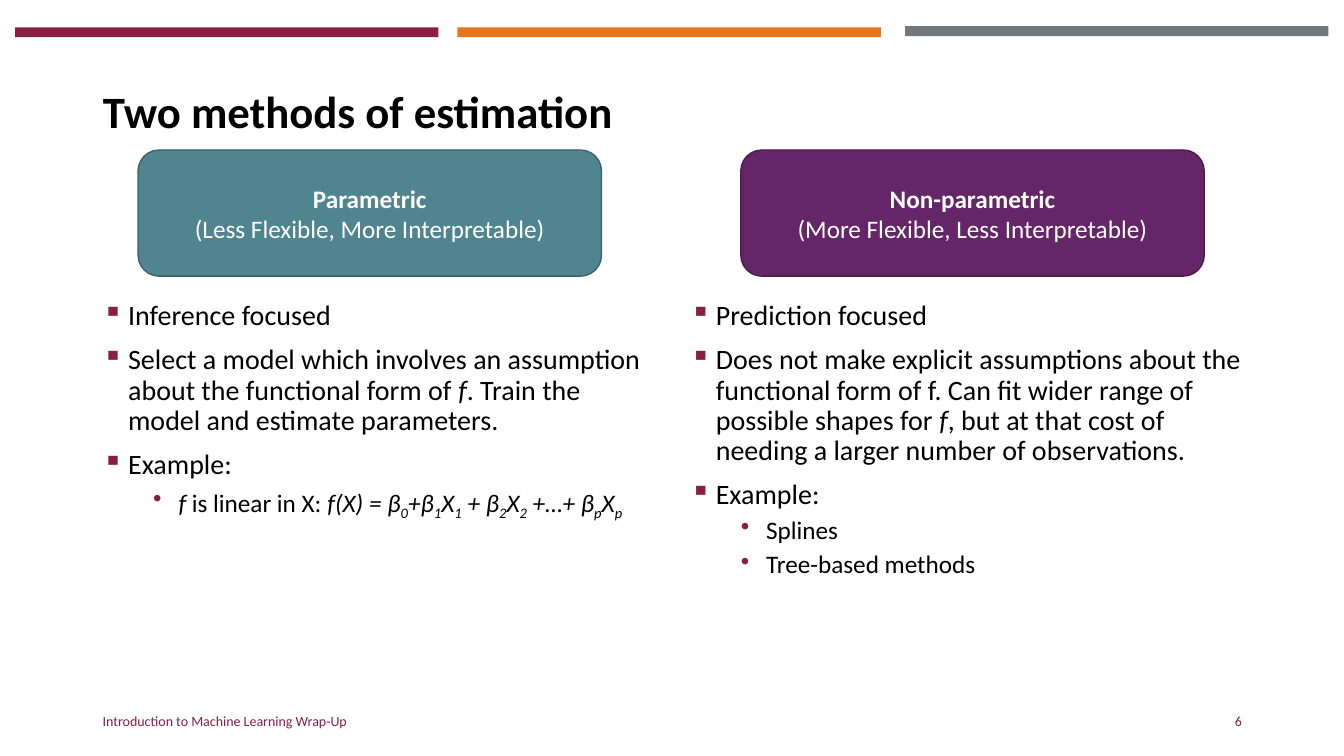
"""Build the slide comparing parametric and non-parametric estimation."""
from dataclasses import dataclass
from typing import Any

from lxml.etree import SubElement
from pptx import Presentation
from pptx.dml.color import RGBColor
from pptx.enum.shapes import MSO_SHAPE as Shape
from pptx.enum.text import MSO_ANCHOR as Anchor, PP_ALIGN as Align
from pptx.oxml.ns import qn
from pptx.util import Cm, Pt

MAROON = RGBColor(0x86, 0x1F, 0x41)
ORANGE = RGBColor(0xE5, 0x75, 0x1F)
GRAY = RGBColor(0x75, 0x78, 0x7B)
TEAL = RGBColor(0x50, 0x85, 0x90)
DARK_TEAL = RGBColor(0x3B, 0x62, 0x6B)
PURPLE = RGBColor(0x64, 0x26, 0x67)
DARK_PURPLE = RGBColor(0x4A, 0x1C, 0x4C)
BLACK = RGBColor(0, 0, 0)
WHITE = RGBColor(0xFF, 0xFF, 0xFF)


@dataclass(frozen=True)
class Box:
    left: float
    top: float
    width: float
    height: float

    def lengths(self) -> tuple[Cm, Cm, Cm, Cm]:
        return Cm(self.left), Cm(self.top), Cm(self.width), Cm(self.height)


@dataclass(frozen=True)
class Bar:
    left: float
    top: float
    color: RGBColor


@dataclass(frozen=True)
class Level:
    size: int
    indent: float
    before: int
    bullet: str


@dataclass(frozen=True)
class Method:
    name: str
    trait: str
    card_left: float
    list_left: float
    fill: RGBColor
    line: RGBColor
    points: tuple[tuple[int, str], ...]


@dataclass(frozen=True)
class Label:
    text: str
    box: Box
    align: Align


LEVELS = (Level(20, 0.64, 10, "▪"), Level(18, 1.91, 5, "•"))
HANGING = 0.64

BARS = (
    Bar(0.38, 0.69, MAROON),
    Bar(22.81, 0.66, GRAY),
    Bar(11.53, 0.69, ORANGE),
)

METHODS = (
    Method("Parametric", "(Less Flexible, More Interpretable)", 3.48, 2.34, TEAL, DARK_TEAL, (
        (0, "Inference focused"),
        (0, "Select a model which involves an assumption about the functional form of *f*. "
            "Train the model and estimate parameters."),
        (0, "Example:"),
        (1, "*f *is linear in X: *f(X) = β_0_+β_1_X_1_ + β_2_X_2_ +…+ β_p_X_p_*"),
    )),
    Method("Non-parametric", "(More Flexible, Less Interpretable)", 18.67, 17.15, PURPLE, DARK_PURPLE, (
        (0, "Prediction focused"),
        (0, "Does not make explicit assumptions about the functional form of f. Can fit wider "
            "range of possible shapes for *f*, but at that cost of needing a larger number "
            "of observations."),
        (0, "Example:"),
        (1, "Splines"),
        (1, "Tree-based methods"),
    )),
)

LABELS = (
    Label("Introduction to Machine Learning Wrap-Up", Box(2.34, 17.65, 11.43, 1.02), Align.LEFT),
    Label("6", Box(23.93, 17.65, 7.62, 1.02), Align.RIGHT),
)


def add_run(p: Any, text: str, size: int, color: RGBColor, **style: bool) -> Any:
    r = p.add_run()
    r.text = text
    r.font.color.rgb = color
    for name, value in {"name": "Calibri", "size": Pt(size), **style}.items():
        setattr(r.font, name, value)
    return r


def add_marked(p: Any, text: str, size: int) -> None:
    """Write text where asterisks toggle italics and underscores toggle subscripts."""
    for i, part in enumerate(text.split("*")):
        for j, piece in enumerate(part.split("_")):
            if piece:
                r = add_run(p, piece, size, BLACK, italic=i % 2 == 1)
                if j % 2:
                    r.font._element.set("baseline", "-25000")


def add_bullet(p: Any, level: Level) -> None:
    pPr = p._p.get_or_add_pPr()
    pPr.set("marL", str(Cm(level.indent)))
    pPr.set("indent", str(-Cm(HANGING)))
    clr = SubElement(pPr, qn("a:buClr"))
    SubElement(clr, qn("a:srgbClr")).set("val", str(MAROON))
    SubElement(pPr, qn("a:buChar")).set("char", level.bullet)


def add_filled(slide: Any, kind: Shape, box: Box, fill: RGBColor) -> Any:
    sp = slide.shapes.add_shape(kind, *box.lengths())
    sp.shadow.inherit = False
    sp.fill.solid()
    sp.fill.fore_color.rgb = fill
    return sp


def add_text_frame(slide: Any, box: Box) -> Any:
    tf = slide.shapes.add_textbox(*box.lengths()).text_frame
    tf.word_wrap = True
    return tf


def add_title(slide: Any, text: str) -> None:
    sp = slide.shapes.title
    sp.left, sp.top, sp.width, sp.height = Box(2.34, 1.02, 29.21, 3.68).lengths()
    sp.text_frame.vertical_anchor = Anchor.MIDDLE
    p = sp.text_frame.paragraphs[0]
    p.alignment = Align.LEFT
    p.line_spacing = 0.9
    add_run(p, text, 32, BLACK, bold=True)


def add_card(slide: Any, method: Method) -> None:
    box = Box(method.card_left, 3.78, 11.68, 3.18)
    sp = add_filled(slide, Shape.ROUNDED_RECTANGLE, box, method.fill)
    sp.line.color.rgb = method.line
    sp.line.width = Pt(1)
    tf = sp.text_frame
    tf.vertical_anchor = Anchor.MIDDLE
    for i, text in enumerate((method.name, method.trait)):
        p = tf.add_paragraph() if i else tf.paragraphs[0]
        p.alignment = Align.CENTER
        add_run(p, text, 18, WHITE, bold=i == 0)


def add_points(slide: Any, method: Method) -> None:
    tf = add_text_frame(slide, Box(method.list_left, 7.47, 14.4, 9.7))
    for i, (depth, text) in enumerate(method.points):
        level = LEVELS[depth]
        p = tf.add_paragraph() if i else tf.paragraphs[0]
        add_bullet(p, level)
        p.level = depth
        p.line_spacing = 0.9
        p.space_before = Pt(level.before if i else 0)
        add_marked(p, text, level.size)


def add_label(slide: Any, label: Label) -> None:
    tf = add_text_frame(slide, label.box)
    tf.vertical_anchor = Anchor.MIDDLE
    p = tf.paragraphs[0]
    p.alignment = label.align
    add_run(p, label.text, 10, MAROON)


def main() -> None:
    prs = Presentation()
    prs.slide_width, prs.slide_height = Cm(33.87), Cm(19.05)
    slide = prs.slides.add_slide(prs.slide_layouts[5])
    for bar in BARS:
        sp = add_filled(slide, Shape.RECTANGLE, Box(bar.left, bar.top, 10.67, 0.25), bar.color)
        sp.line.fill.background()
    add_title(slide, "Two methods of estimation")
    for method in METHODS:
        add_points(slide, method)
        add_card(slide, method)
    for label in LABELS:
        add_label(slide, label)
    prs.save("out.pptx")


if __name__ == "__main__":
    main()
